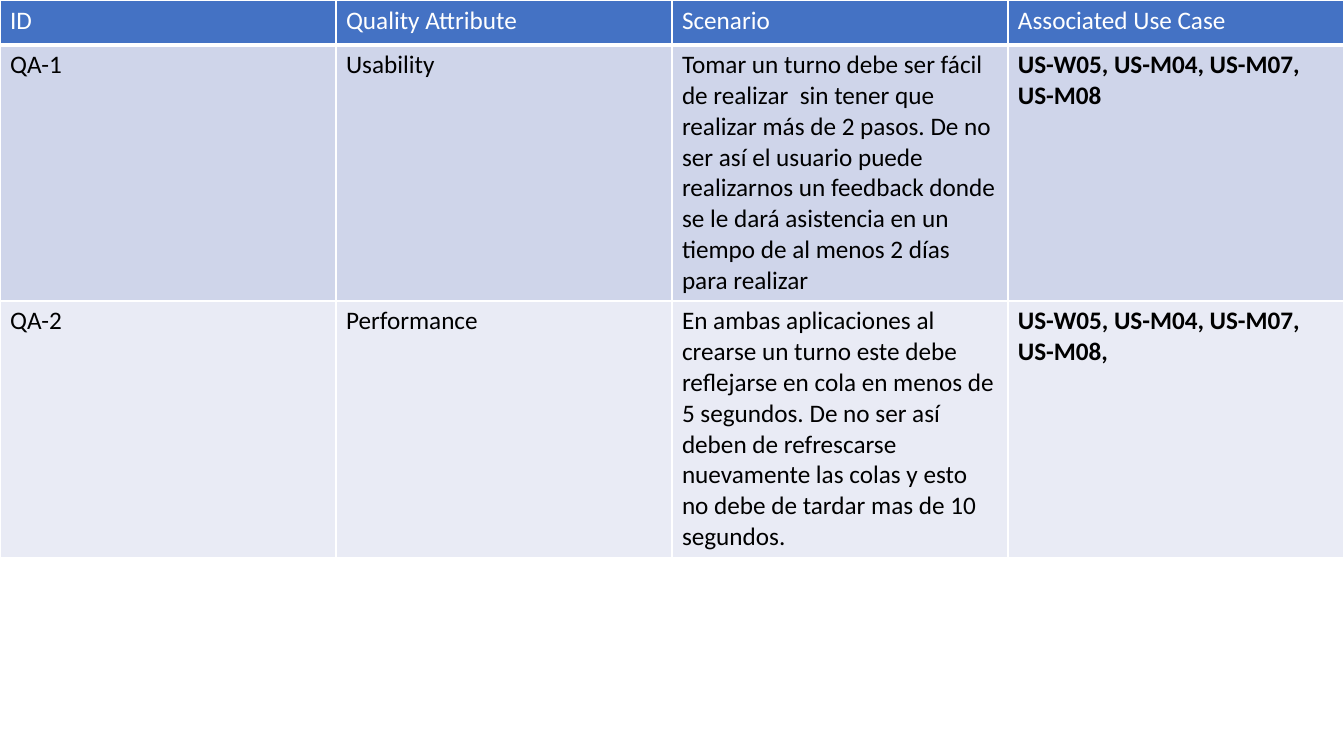
from lxml.etree import SubElement
from pptx import Presentation
from pptx.dml.color import RGBColor
from pptx.oxml.ns import qn
from pptx.util import Pt

SLIDE_W, SLIDE_H = 960, 540
ROWS = [
    ("ID", "Quality Attribute", "Scenario", "Associated Use Case"),
    ("QA-1", "Usability",
     "Tomar un turno debe ser fácil de realizar  sin tener que realizar más de 2 pasos. "
     "De no ser así el usuario puede realizarnos un feedback donde se le dará asistencia "
     "en un tiempo de al menos 2 días para realizar ",
     "US-W05, US-M04, US-M07, US-M08 "),
    ("QA-2", "Performance",
     "En ambas aplicaciones al crearse un turno este debe reflejarse en cola en menos de "
     "5 segundos. De no ser así deben de refrescarse nuevamente las colas y esto no debe "
     "de tardar mas de 10 segundos.",
     "US-W05, US-M04, US-M07, US-M08, "),
]
ROW_HEIGHTS = [32, 183, 183]
ROW_FILLS = ["4472C4", "CFD5EA", "E9EBF5"]
HEADER_TEXT, BODY_TEXT, BORDER = "FFFFFF", "000000", "FFFFFF"
FONT = {"name": "Calibri", "size": Pt(18)}


def color(hex_text):
    """Turn a hex string into a colour."""
    return RGBColor.from_string(hex_text)


def set_borders(cell, widths):
    """Draw solid borders on a cell, with widths in points by side."""
    tcPr = cell._tc.get_or_add_tcPr()
    for i, (side, width) in enumerate(widths.items()):
        ln = SubElement(tcPr, qn(f"a:ln{side}"), w=str(Pt(width)))
        fill = SubElement(ln, qn("a:solidFill"))
        SubElement(fill, qn("a:srgbClr"), val=BORDER)
        tcPr.insert(i, ln)


def fill_cell(cell, text, fill, font):
    """Write the text of a cell and set its fill and font."""
    cell.fill.solid()
    cell.fill.fore_color.rgb = color(fill)
    r = cell.text_frame.paragraphs[0].add_run()
    r.text = text
    for key, value in font.items():
        setattr(r.font, key, value)
    r.font.color.rgb = color(HEADER_TEXT if fill == ROW_FILLS[0] else BODY_TEXT)


prs = Presentation()
prs.slide_width, prs.slide_height = Pt(SLIDE_W), Pt(SLIDE_H)
slide = prs.slides.add_slide(prs.slide_layouts[6])

n_cols = len(ROWS[0])
table = slide.shapes.add_table(len(ROWS), n_cols, 0, 0, Pt(SLIDE_W),
                               Pt(sum(ROW_HEIGHTS))).table
for column in table.columns:
    column.width = Pt(SLIDE_W / n_cols)

for i, (texts, height, fill) in enumerate(zip(ROWS, ROW_HEIGHTS, ROW_FILLS)):
    table.rows[i].height = Pt(height)
    for j, text in enumerate(texts):
        cell = table.cell(i, j)
        use_case = i > 0 and j == n_cols - 1
        fill_cell(cell, text, fill, {**FONT, "bold": use_case})
        set_borders(cell, {"L": 1, "R": 1, "T": 3 if i == 1 else 1,
                           "B": 3 if i == 0 else 1})

prs.save("out.pptx")
